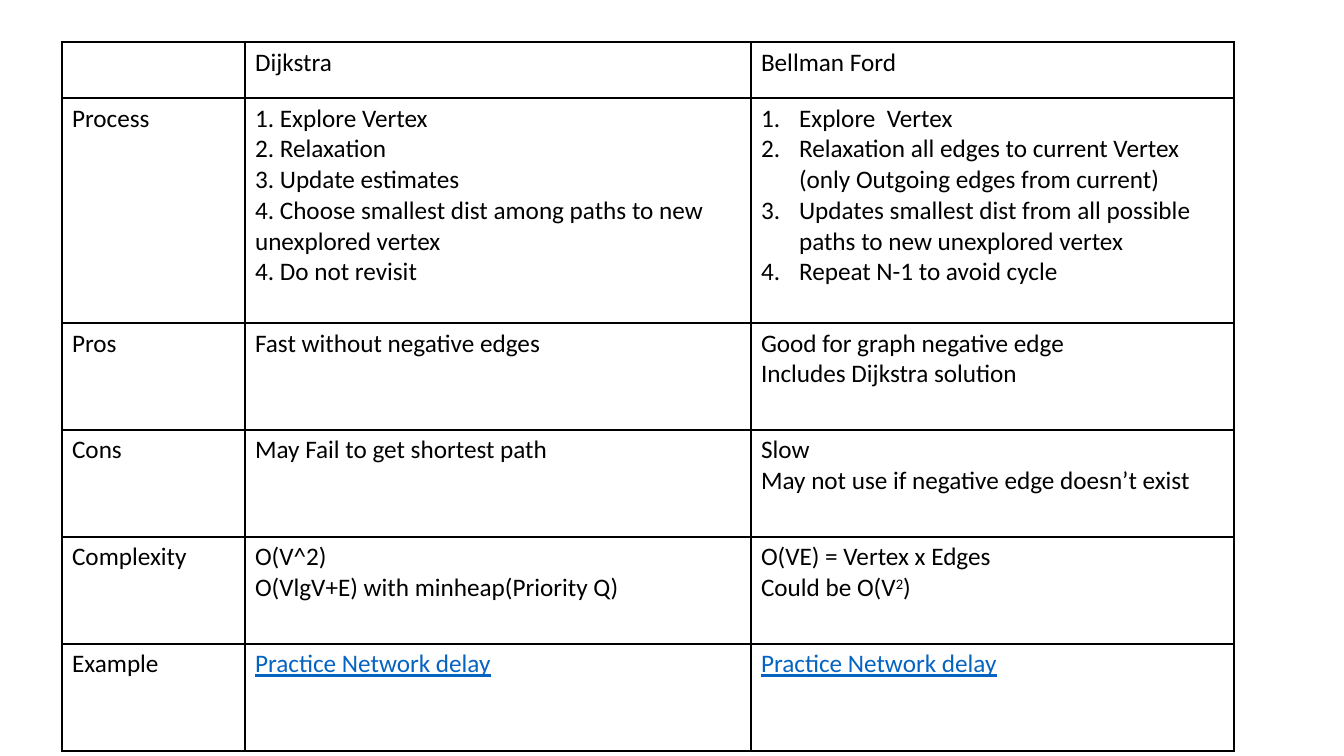
from dataclasses import dataclass

from lxml import etree
from pptx import Presentation
from pptx import util as u
from pptx.dml.color import RGBColor
from pptx.oxml import ns
from pptx.table import Table, _Cell

PX = 12192000 / 1344
BLACK = RGBColor(0x00, 0x00, 0x00)
LINK = RGBColor(0x05, 0x63, 0xC1)
FONT = "Calibri"
LEFT, TOP = 62, 42
COLS = (183, 506, 483)
ROWS = (56, 225, 107, 107, 107, 107)
INDENT = 38


@dataclass(frozen=True)
class Line:
    text: str
    sup: str = ""
    tail: str = ""
    numbered: bool = False
    link: bool = False


@dataclass(frozen=True)
class Row:
    label: str
    dijkstra: tuple[Line, ...]
    bellman: tuple[Line, ...]


def lines(*texts: str, numbered: bool = False, link: bool = False) -> tuple[Line, ...]:
    return tuple(Line(t, numbered=numbered, link=link) for t in texts)


EXAMPLE = lines("Practice Network delay", link=True)
CONTENT = (
    Row("", lines("Dijkstra"), lines("Bellman Ford")),
    Row(
        "Process",
        lines(
            "1. Explore Vertex",
            "2. Relaxation",
            "3. Update estimates",
            "4. Choose smallest dist among paths to new unexplored vertex",
            "4. Do not revisit",
        ),
        lines(
            "Explore  Vertex",
            "Relaxation all edges to current Vertex\n(only Outgoing edges from current)",
            "Updates smallest dist from all possible paths to new unexplored vertex",
            "Repeat N-1 to avoid cycle",
            numbered=True,
        ),
    ),
    Row(
        "Pros",
        lines("Fast without negative edges"),
        lines("Good for graph negative edge", "Includes Dijkstra solution"),
    ),
    Row(
        "Cons",
        lines("May Fail to get shortest path"),
        lines("Slow", "May not use if negative edge doesn’t exist"),
    ),
    Row(
        "Complexity",
        lines("O(V^2)", "O(VlgV+E) with minheap(Priority Q)"),
        (Line("O(VE) = Vertex x Edges"), Line("Could be O(V", sup="2", tail=")")),
    ),
    Row("Example", EXAMPLE, EXAMPLE),
)


def px(n: int) -> u.Emu:
    return u.Emu(round(n * PX))


def add_borders(cell: _Cell) -> None:
    tcPr = cell._tc.get_or_add_tcPr()
    for i, side in enumerate(("a:lnL", "a:lnR", "a:lnT", "a:lnB")):
        ln = etree.Element(ns.qn(side), w=str(u.Pt(1)))
        fill = etree.SubElement(ln, ns.qn("a:solidFill"))
        etree.SubElement(fill, ns.qn("a:srgbClr"), val=str(BLACK))
        tcPr.insert(i, ln)


def write_line(p, line: Line) -> None:
    p.text = line.text
    p.font.name = FONT
    p.font.size = u.Pt(18)
    p.font.color.rgb = LINK if line.link else BLACK
    if line.sup:
        r = p.add_run()
        r.text = line.sup
        r.font._element.set("baseline", "30000")
        p.add_run().text = line.tail
    if line.link:
        for r in p.runs:
            r.font.color.rgb = LINK
            r.font.underline = True
    if line.numbered:
        pPr = p._p.get_or_add_pPr()
        pPr.set("marL", str(px(INDENT)))
        pPr.set("indent", str(-px(INDENT)))
        number = etree.Element(ns.qn("a:buAutoNum"), type="arabicPeriod")
        pPr.find(ns.qn("a:defRPr")).addprevious(number)


def fill_cell(cell: _Cell, content: tuple[Line, ...]) -> None:
    cell.fill.background()
    add_borders(cell)
    tf = cell.text_frame
    for i, line in enumerate(content):
        write_line(tf.add_paragraph() if i else tf.paragraphs[0], line)


def fill_table(table: Table) -> None:
    table.first_row = False
    table.horz_banding = False
    for column, width in zip(table.columns, COLS):
        column.width = px(width)
    for row, height, item in zip(table.rows, ROWS, CONTENT):
        row.height = px(height)
        contents = (lines(item.label), item.dijkstra, item.bellman)
        for cell, content in zip(row.cells, contents):
            fill_cell(cell, content)


def main() -> None:
    prs = Presentation()
    prs.slide_width, prs.slide_height = px(1344), px(756)
    s = prs.slides.add_slide(prs.slide_layouts[6])
    frame = s.shapes.add_table(
        len(ROWS), len(COLS), px(LEFT), px(TOP), px(sum(COLS)), px(sum(ROWS))
    )
    fill_table(frame.table)
    prs.save("out.pptx")


if __name__ == "__main__":
    main()
